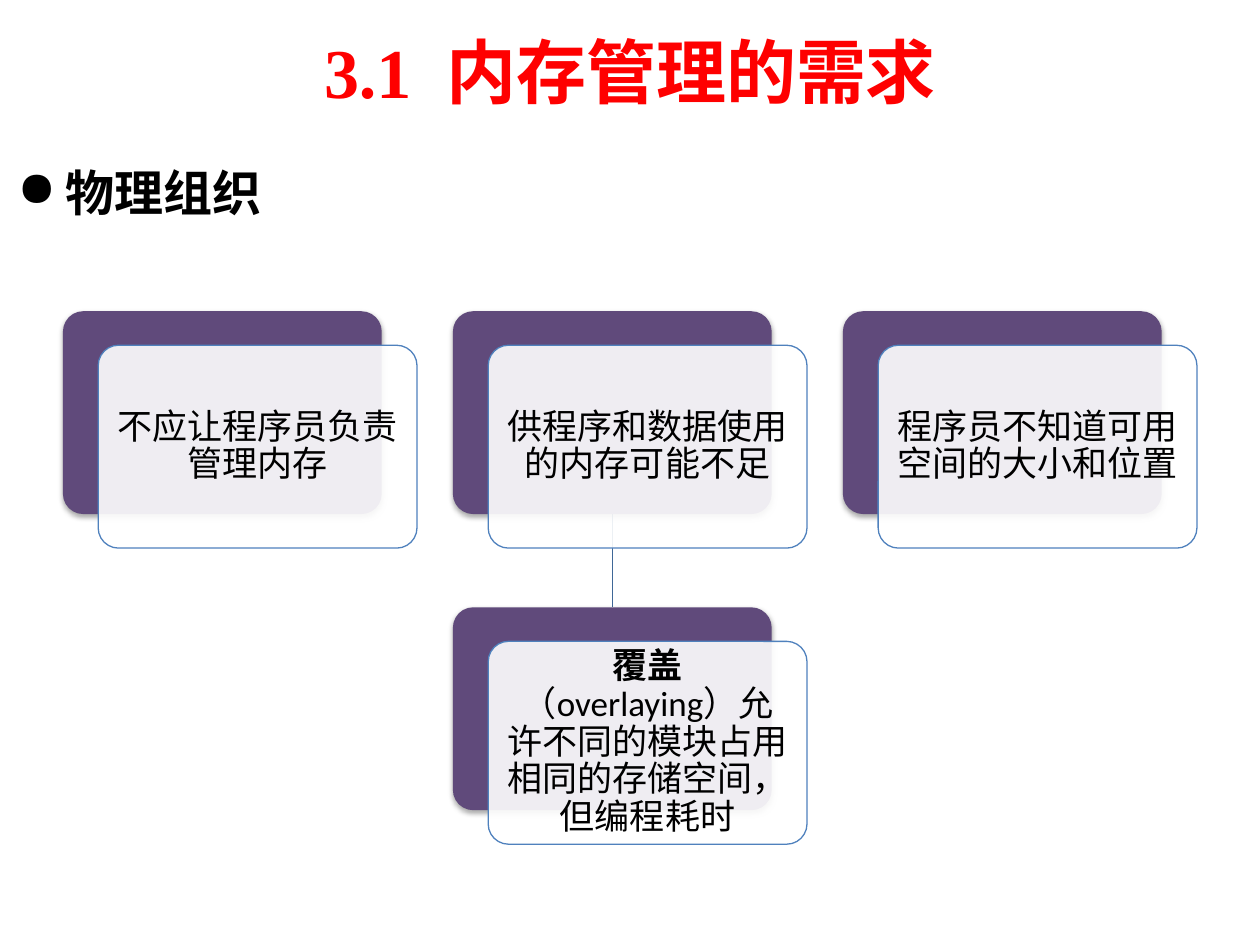
from lxml import etree
from pptx import Presentation
from pptx.dml.color import RGBColor
from pptx.enum.shapes import MSO_CONNECTOR, MSO_SHAPE
from pptx.enum.text import MSO_ANCHOR, PP_ALIGN
from pptx.oxml.ns import qn
from pptx.util import Inches, Pt

RED = RGBColor(0xFE, 0x00, 0x00)
BLACK = RGBColor(0x00, 0x00, 0x00)
WHITE = RGBColor(0xFF, 0xFF, 0xFF)
PURPLE = RGBColor(0x60, 0x4A, 0x7B)
BLUE = RGBColor(0x4F, 0x81, 0xBD)
DARK_BLUE = RGBColor(0x3F, 0x67, 0x97)

CARD_W, CARD_H = 2.53, 1.61
LEFT, COLUMN_STEP = 0.5, 3.095
TOP, ROW_STEP = 2.47, 2.35
OFFSET_X, OFFSET_Y = 0.28, 0.27

# column, row, bold lead, text
CARDS = [
    (0, 0, "", "不应让程序员负责管理内存"),
    (1, 0, "", "供程序和数据使用的内存可能不足"),
    (1, 1, "覆盖", "（overlaying）允许不同的模块占用相同的存储空间，但编程耗时"),
    (2, 0, "", "程序员不知道可用空间的大小和位置"),
]

prs = Presentation()
prs.slide_width, prs.slide_height = Inches(10), Inches(7.5)
slide = prs.slides.add_slide(prs.slide_layouts[6])


def add_run(paragraph, content, font, size, color, bold):
    run = paragraph.add_run()
    run.text = content
    run.font.name, run.font.size, run.font.bold = font, Pt(size), bold
    run.font.color.rgb = color
    return run


def add_panel(left, top, color):
    panel = slide.shapes.add_shape(MSO_SHAPE.ROUNDED_RECTANGLE, Inches(left),
                                   Inches(top), Inches(CARD_W), Inches(CARD_H))
    panel.adjustments[0] = 0.1
    panel.shadow.inherit = False
    panel.fill.solid()
    panel.fill.fore_color.rgb = color
    return panel


# Title
title = slide.shapes.add_textbox(Inches(0.5), Inches(0.05), Inches(9), Inches(1.02))
title.text_frame.word_wrap = True
title.text_frame.vertical_anchor = MSO_ANCHOR.MIDDLE
heading = title.text_frame.paragraphs[0]
heading.alignment = PP_ALIGN.CENTER
number, gap, topic = [add_run(heading, part, "Times New Roman", 40, RED, True)
                      for part in ("3.1", " ", "内存管理的需求")]
gap.font._element.set("spc", "1000")  # widens the gap after the number by 10 pt

# Bullet
body = slide.shapes.add_textbox(Inches(0.04), Inches(1.15), Inches(9.69), Inches(5.04))
body.text_frame.word_wrap = True
bullet = body.text_frame.paragraphs[0]
bullet.line_spacing = 1.2
bullet_props = bullet._p.get_or_add_pPr()
bullet_props.set("marL", str(Inches(0.38)))
bullet_props.set("indent", str(Inches(-0.38)))
etree.SubElement(bullet_props, qn("a:buChar"), char="●")
add_run(bullet, "物理组织", "Arial", 28, BLACK, True)

# Link between the two cards of the middle column, behind them
link_x = Inches(LEFT + COLUMN_STEP + CARD_W / 2)
link = slide.shapes.add_connector(MSO_CONNECTOR.STRAIGHT, link_x, Inches(TOP + CARD_H),
                                  link_x, Inches(TOP + ROW_STEP))
link.line.color.rgb = DARK_BLUE
link.line.width = Pt(0.75)
etree.SubElement(link._element.spPr, qn("a:effectLst"))

# Cards: a purple panel with a translucent text panel over it
for column, row, lead, content in CARDS:
    left = LEFT + column * COLUMN_STEP
    top = TOP + row * ROW_STEP

    back = add_panel(left, top, PURPLE)
    back.line.fill.background()
    effects = back._element.spPr.find(qn("a:effectLst"))
    shadow = etree.SubElement(effects, qn("a:outerShdw"), blurRad=str(Pt(3.1)),
                              dist=str(Pt(1.8)), dir="5400000", rotWithShape="0")
    shadow_color = etree.SubElement(shadow, qn("a:srgbClr"), val=str(BLACK))
    etree.SubElement(shadow_color, qn("a:alpha"), val="35000")

    front = add_panel(left + OFFSET_X, top + OFFSET_Y, WHITE)
    front.line.color.rgb = BLUE
    front.line.width = Pt(0.75)
    front_color = front._element.spPr.find(qn("a:solidFill")).find(qn("a:srgbClr"))
    etree.SubElement(front_color, qn("a:alpha"), val="90000")

    frame = front.text_frame
    frame.word_wrap = True
    frame.vertical_anchor = MSO_ANCHOR.MIDDLE
    frame.margin_left = frame.margin_right = Inches(0.08)
    frame.margin_top = frame.margin_bottom = Inches(0.08)
    paragraph = frame.paragraphs[0]
    paragraph.alignment = PP_ALIGN.CENTER
    paragraph.line_spacing = 0.9
    if lead:
        add_run(paragraph, lead, "Calibri", 20, BLACK, True)
    add_run(paragraph, content, "Calibri", 20, BLACK, False)

prs.save("out.pptx")
